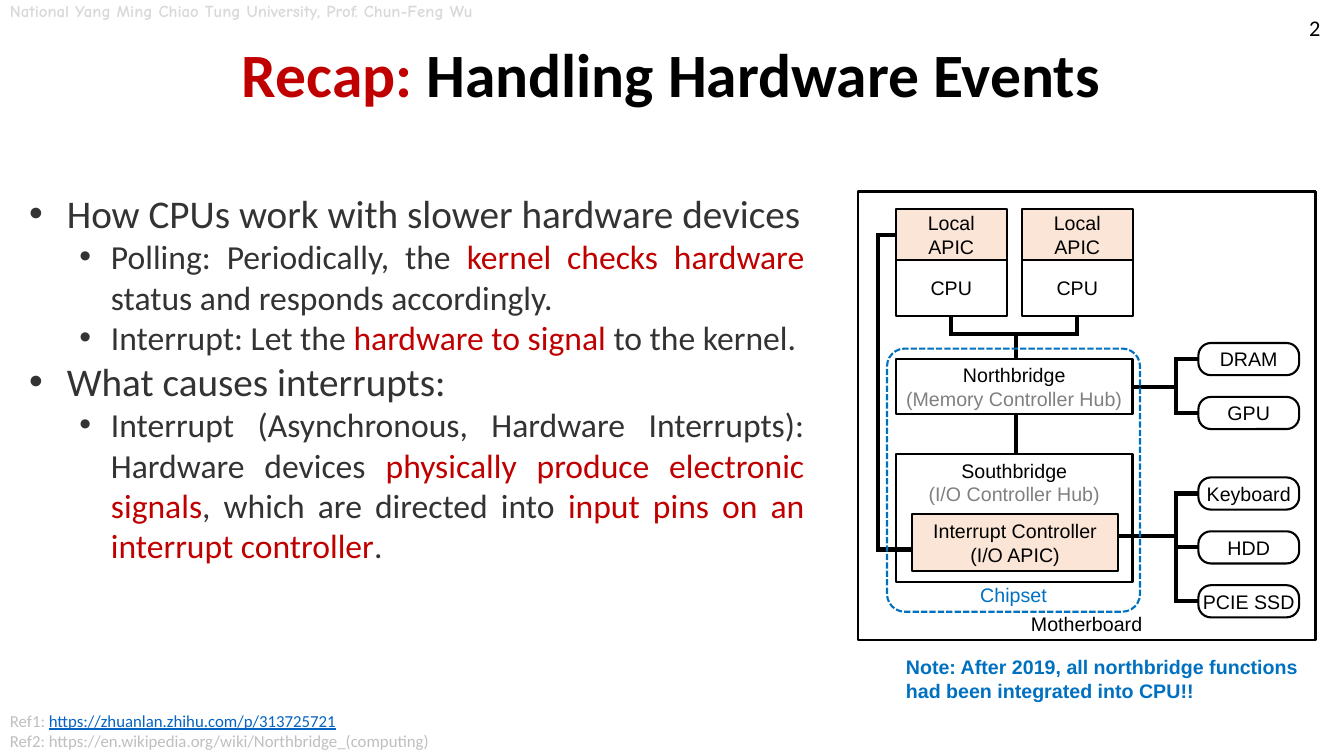
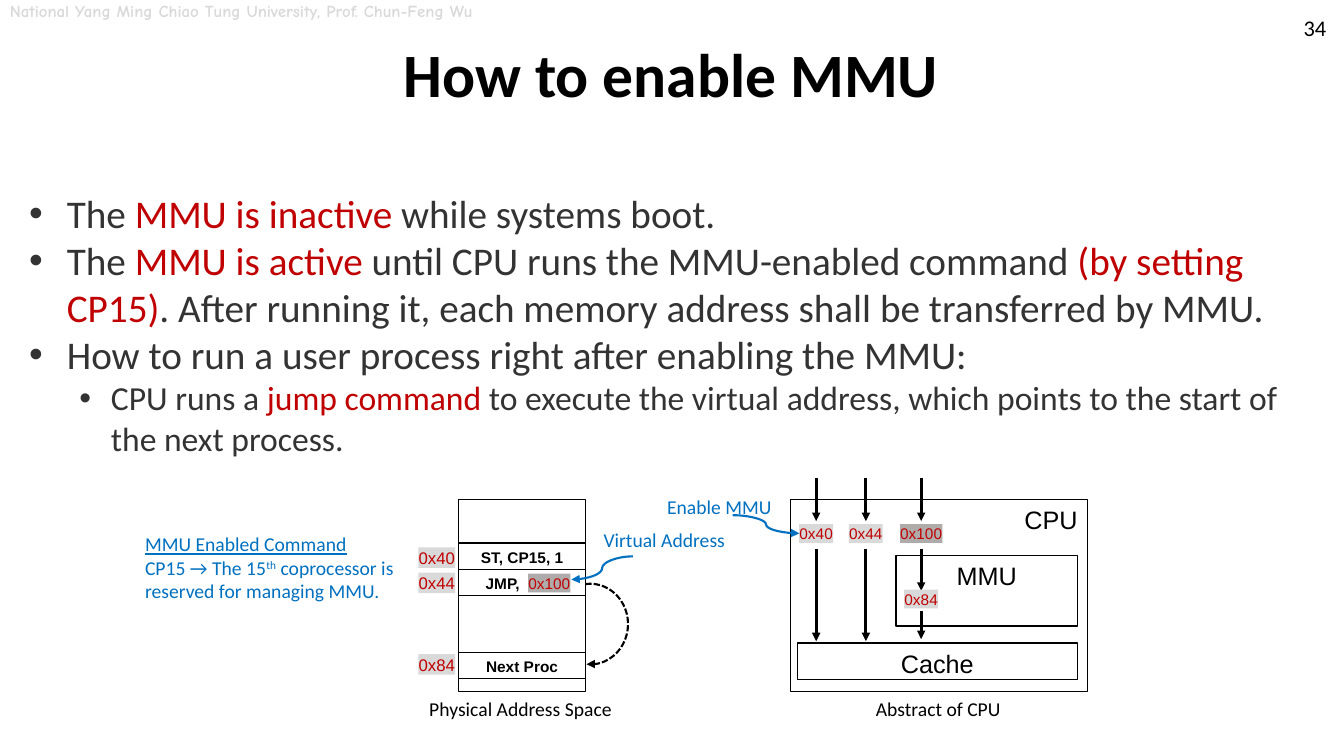
from dataclasses import dataclass

from lxml import etree
from pptx import Presentation
from pptx.dml.color import RGBColor
from pptx.enum import dml, shapes, text
from pptx.oxml import ns
from pptx.util import Pt

SHAPE = shapes.MSO_SHAPE
LINK = shapes.MSO_CONNECTOR
ALIGN = text.PP_ALIGN
ANCHOR = text.MSO_ANCHOR
DASH = dml.MSO_LINE.SQUARE_DOT


@dataclass(frozen=True)
class Theme:
    black: str = "000000"
    body: str = "333333"
    red: str = "C00000"
    blue: str = "0070C0"
    link: str = "0563C1"
    gray: str = "808080"
    ref: str = "BFBFBF"
    pale: str = "D9D9D9"
    dark_tag: str = "AFABAB"
    peach: str = "FBE5D6"
    sans: str = "Calibri"
    diagram: str = "Arial"
    header: str = "Comic Neue"
    title_size: int = 44
    level_sizes: tuple = (28, 24)
    block_size: int = 18
    number_size: int = 16
    label_size: int = 14
    small_size: int = 12
    tiny_size: int = 11


T = Theme()
CAPTION = dict(name=T.sans, size=T.label_size, color=T.black)
CALLOUT = dict(CAPTION, color=T.blue)
BOX = dict(name=T.diagram, size=T.label_size, color=T.black)
BLOCK = dict(BOX, size=T.block_size)
ROW = dict(BOX, size=T.tiny_size, bold=True)
RED = dict(color=T.red)
GRAY = dict(color=T.gray)


def add_xml(parent, tag, **attrs):
    return etree.SubElement(parent, ns.qn(tag), attrs)


def format_run(r, color, size, baseline=None, **fmt):
    r.font.color.rgb = RGBColor.from_string(color)
    r.font.size = Pt(size)
    for key, value in fmt.items():
        setattr(r.font, key, value)
    if baseline:
        r.font._element.set("baseline", str(baseline))


class Deck:
    levels = ((27, -27), (58.5, -22.5))

    def __init__(self):
        self.prs = Presentation()
        self.prs.slide_width, self.prs.slide_height = Pt(960), Pt(540)
        self.s = None

    def slide(self, number, title):
        self.s = self.prs.slides.add_slide(self.prs.slide_layouts[6])
        self.text((0, -3, 374, 21.6),
                  ["National Yang Ming Chiao Tung University, Prof. Chun-Feng Wu"],
                  dict(name=T.header, size=T.small_size, color=T.pale, bold=True),
                  wrap=False)
        head = self.text((13.7, 13.7, 931.7, 83.5), [title],
                         dict(name=T.sans, size=T.title_size, color=T.black, bold=True),
                         accent=RED, align=ALIGN.CENTER, anchor=ANCHOR.MIDDLE)
        head.text_frame.paragraphs[0].line_spacing = 0.9
        self.text((918.7, 0.7, 41, 38.2), [number],
                  dict(name=T.sans, size=T.number_size, color=T.black),
                  align=ALIGN.CENTER, anchor=ANCHOR.MIDDLE)

    def fill_text(self, sp, paras, fmt, accent=None, align=ALIGN.LEFT,
                  anchor=ANCHOR.TOP, wrap=True, ins=(7.2, 3.6, 7.2, 3.6)):
        """Write paragraphs; parts between bars take the accent format.

        A paragraph given as (text, accent) brings its own accent.
        """
        tf = sp.text_frame
        sides = zip(("left", "top", "right", "bottom"), map(Pt, ins))
        frame = {f"margin_{side}": size for side, size in sides}
        frame.update(word_wrap=wrap, vertical_anchor=anchor)
        for key, value in frame.items():
            setattr(tf, key, value)
        for i, para in enumerate(paras):
            content, own = para if isinstance(para, tuple) else (para, accent)
            p = tf.add_paragraph() if i else tf.paragraphs[0]
            p.alignment = align
            for j, part in enumerate(content.split("|")):
                if part:
                    r = p.add_run()
                    r.text = part
                    format_run(r, **dict(fmt, **(own if j % 2 else {})))
        return sp

    def text(self, at, paras, fmt, **opts):
        sp = self.s.shapes.add_textbox(*map(Pt, at))
        return self.fill_text(sp, paras, fmt, **opts)

    def bullets(self, width, items, align):
        """Write (level, text) items as a bulleted list."""
        sp = self.text((13.7, 131.5, width, 394), [t for _, t in items],
                       dict(name=T.sans, size=T.level_sizes[0], color=T.body),
                       accent=RED, align=align)
        for p, (level, _) in zip(sp.text_frame.paragraphs, items):
            p.level = level
            margin, indent = self.levels[level]
            pPr = p._p.get_or_add_pPr()
            pPr.set("marL", str(Pt(margin)))
            pPr.set("indent", str(Pt(indent)))
            add_xml(pPr, "a:buFont", typeface=T.diagram)
            add_xml(pPr, "a:buChar", char="•")
            for r in p.runs:
                r.font.size = Pt(T.level_sizes[level])

    def stroke(self, sp, color, width, dash=None, arrow=False):
        sp.line.color.rgb = RGBColor.from_string(color)
        sp.line.width = Pt(width)
        if dash:
            sp.line.dash_style = dash
        if arrow:
            add_xml(sp.line._get_or_add_ln(), "a:tailEnd", type="triangle")

    def shape(self, at, paras=(), fmt=BOX, kind=SHAPE.RECTANGLE, fill=None,
              line=T.black, width=1.5, dash=None, arrow=False, adj=(),
              align=ALIGN.CENTER, anchor=ANCHOR.MIDDLE, **opts):
        sp = self.s.shapes.add_shape(kind, *map(Pt, at))
        sp.shadow.inherit = False
        for i, value in enumerate(adj):
            sp.adjustments[i] = value
        if fill:
            sp.fill.solid()
            sp.fill.fore_color.rgb = RGBColor.from_string(fill)
        else:
            sp.fill.background()
        if line:
            self.stroke(sp, line, width, dash, arrow)
        else:
            sp.line.fill.background()
        return self.fill_text(sp, paras, fmt, align=align, anchor=anchor, **opts)

    def tag(self, x, y, address, size=T.tiny_size, fill=T.pale):
        """Put an address on a tinted patch centred on x."""
        w = size * (0.55 * len(address))
        self.shape((x - w / 2, y, w, size * 1.22), [address],
                   dict(BOX, size=size, color=T.red), fill=fill, line=None,
                   wrap=False, ins=(0, 0, 0, 0))

    def line(self, x1, y1, x2, y2, color=T.black, width=3, arrow=False,
             kind=LINK.STRAIGHT):
        sp = self.s.shapes.add_connector(kind, *map(Pt, (x1, y1, x2, y2)))
        self.stroke(sp, color, width, arrow=arrow)
        add_xml(sp._element.spPr, "a:effectLst")

    def device_bus(self, x, y, top, names):
        """Wire a hub port at (x, y) to a column of devices."""
        spine, left, pitch, h = 840, 856, 38.5, 23
        rows = [top + i * pitch for i in range(len(names))]
        self.line(x, y, spine, y)
        self.line(spine, rows[0] - 1.5, spine, rows[-1] + 1.5)
        for row, name in zip(rows, names):
            self.line(spine, row, left, row)
            self.shape((left, row - h / 2, 72, h), [name], adj=(0.39,),
                       kind=SHAPE.ROUNDED_RECTANGLE, ins=(0, 3.6, 0, 3.6))


def hardware_events(d):
    d.slide("2", "|Recap:| Handling Hardware Events")
    d.bullets(568, [
        (0, "How CPUs work with slower hardware devices"),
        (1, "Polling: Periodically, the |kernel checks hardware |status and "
            "responds accordingly."),
        (1, "Interrupt: Let the |hardware to signal| to the kernel."),
        (0, "What causes interrupts:"),
        (1, "Interrupt (Asynchronous, Hardware Interrupts): Hardware devices "
            "|physically produce electronic signals|, which are directed into "
            "|input pins on an interrupt controller|."),
    ], ALIGN.JUSTIFY)
    d.shape((612.7, 136.8, 327, 320.4), ["Motherboard"], anchor=ANCHOR.BOTTOM)
    d.text((640, 464.4, 299.5, 41),
           ["Note: After 2019, all northbridge functions",
            "had been integrated into CPU!!"],
           dict(BOX, color=T.blue, bold=True), wrap=False)
    d.text((0, 504, 316.8, 36),
           ["Ref1: |https://zhuanlan.zhihu.com/p/313725721|",
            "Ref2: https://en.wikipedia.org/wiki/Northbridge_(computing)"],
           dict(name=T.sans, size=T.small_size, color=T.ref),
           accent=dict(color=T.link, underline=True), wrap=False)

    d.device_bus(808.6, 276.5, 256.5, ["DRAM", "GPU"])
    d.device_bus(799, 383, 352.5, ["Keyboard", "HDD", "PCIE SSD"])

    apic_bus, cpu_bus = 627, 238.5
    d.line(apic_bus, 166.5, apic_bus, 394)
    d.line(apic_bus, 168, 640, 168)
    d.line(apic_bus, 392.5, 651.6, 392.5)
    for x in (640, 730):
        d.shape((x, 149, 79, 37), ["Local APIC"], fill=T.peach)
        d.shape((x, 186, 79, 39.5), ["CPU"])
        d.line(x + 39.5, 225.5, x + 39.5, cpu_bus)
    d.line(678, cpu_bus, 771, cpu_bus)
    d.line(726, cpu_bus, 726, 256.3)
    d.line(726, 296, 726, 324)

    d.shape((640, 256.3, 169, 39.6), ["Northbridge", "|(Memory Controller Hub)|"],
            accent=GRAY, ins=(2, 3.6, 2, 3.6))
    d.shape((640, 324, 169, 92), ["Southbridge", "|(I/O Controller Hub)|"],
            accent=GRAY, anchor=ANCHOR.TOP)
    d.shape((651.6, 367.2, 147, 41), ["Interrupt Controller", "(I/O APIC)"],
            fill=T.peach, anchor=ANCHOR.TOP)
    d.shape((633.6, 249, 180.7, 188), ["Chipset"], dict(BOX, color=T.blue),
            kind=SHAPE.ROUNDED_RECTANGLE, adj=(0.07,), line=T.blue, dash=DASH,
            anchor=ANCHOR.BOTTOM, ins=(7.2, 3.6, 7.2, 0))


def draw_memory(d):
    left, w, h = 327.5, 91, 18.7
    d.shape((left, 357, w, 137), width=1)
    for y, label, align, inset in ((388, "ST, CP15, 1", ALIGN.CENTER, 7.2),
                                   (406.8, "JMP,", ALIGN.LEFT, 19.4),
                                   (466, "Next Proc", ALIGN.CENTER, 7.2)):
        d.shape((left, y, w, h), [label], ROW, width=1, align=align,
                anchor=ANCHOR.TOP, ins=(inset, 3.6, 7.2, 3.6))
    for y, address in ((391, "0x40"), (409, "0x44"), (467.3, "0x84")):
        d.tag(312, y, address, T.small_size)
    d.tag(392.4, 409.7, "0x100", fill=T.dark_tag)
    d.shape((394.6, 417, 54, 57.6), kind=SHAPE.ARC, adj=(157.79, 57.17),
            dash=DASH, arrow=True)
    d.text((299.5, 494.6, 181, 24.5), ["Physical Address Space"], CAPTION)
    d.text((96.5, 376.6, 198, 58.3),
           [("|MMU Enabled Command|", dict(underline=True)),
            ("CP15 → The 15|th| coprocessor is reserved for managing MMU.",
             dict(baseline=30000))], CALLOUT)
    d.text((424, 373.7, 104.4, 24.5), ["Virtual Address"], CALLOUT)
    d.line(452.2, 397.4, 408.2, 414, T.blue, 1.5, True, LINK.CURVE)


def draw_cpu(d):
    d.shape((564.5, 357, 212.4, 137), ["CPU"], BLOCK, width=1,
            align=ALIGN.RIGHT, anchor=ANCHOR.TOP)
    for at, label in (((640, 396.7, 129.6, 50.4), "MMU"),
                      ((569.5, 459.4, 200, 26), "Cache")):
        d.shape(at, [label], BLOCK, width=1, anchor=ANCHOR.TOP)
    for x, address, fill, end in ((583, "0x40", T.pale, 458),
                                  (618.5, "0x44", T.pale, 458),
                                  (658, "0x100", T.dark_tag, 422)):
        d.line(x, 341.3, x, 372.2, width=2, arrow=True)
        d.tag(x, 374.4, address, fill=fill)
        d.line(x, 392, x, end, width=2, arrow=True)
    d.tag(658, 421.2, "0x84")
    d.line(658, 436.3, 658, 456.5, width=2, arrow=True)
    d.text((618.5, 494, 181, 24.5), ["Abstract of CPU"], CAPTION)
    d.text((469.4, 350, 90.7, 24.5), ["Enable MMU"], CALLOUT)
    d.line(523.4, 368, 571, 381, T.blue, 1.5, True, LINK.CURVE)


def enable_mmu(d):
    d.slide("34", "How to enable MMU")
    d.bullets(931.7, [
        (0, "The |MMU is inactive| while systems boot."),
        (0, "The |MMU is active |until CPU runs the MMU-enabled command "
            "|(by setting CP15)|. After running it, each memory address shall "
            "be transferred by MMU."),
        (0, "How to run a user process right after enabling the MMU:"),
        (1, "CPU runs a |jump command| to execute the virtual address, which "
            "points to the start of the next process."),
    ], ALIGN.LEFT)
    draw_memory(d)
    draw_cpu(d)


def main():
    d = Deck()
    hardware_events(d)
    enable_mmu(d)
    d.prs.save("out.pptx")


if __name__ == "__main__":
    main()
